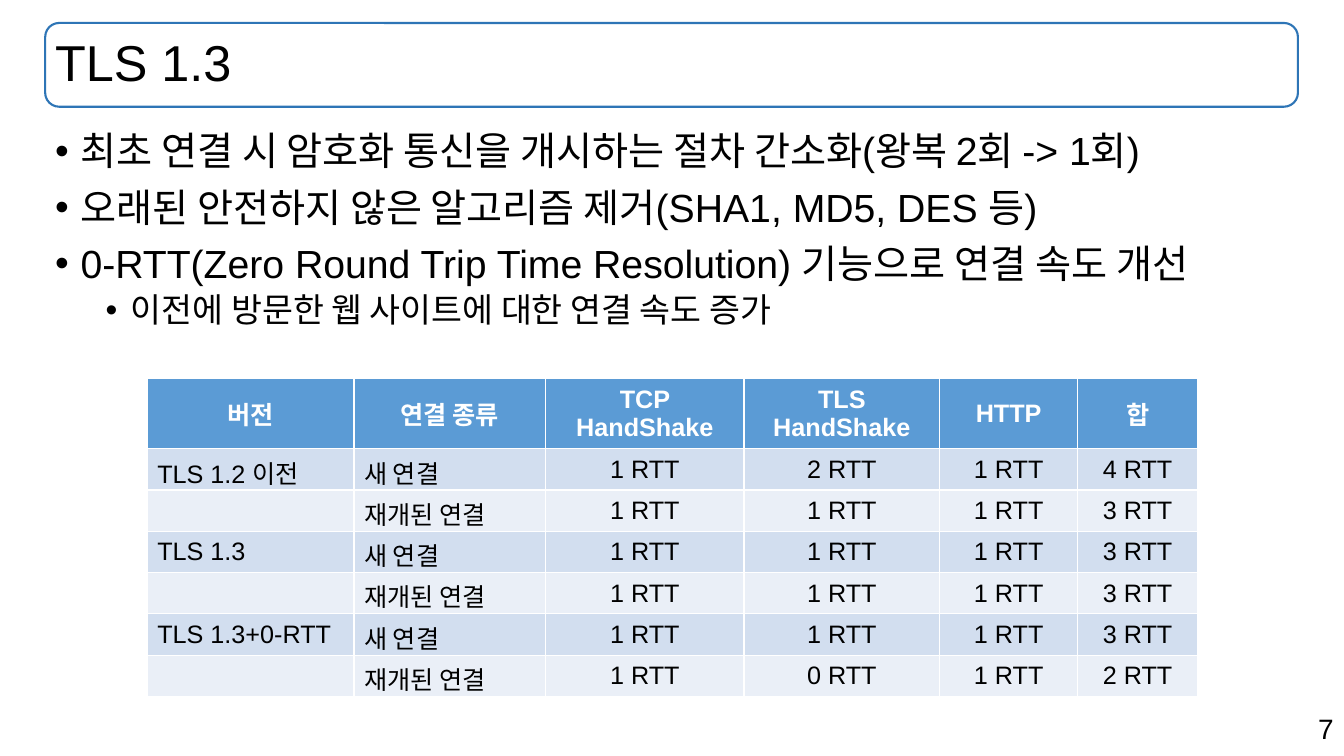
import pptx
import pptx.util
import pptx.dml.color
import pptx.enum.shapes
import pptx.enum.text
import pptx.oxml.ns
import lxml.etree

Cm = pptx.util.Cm
Pt = pptx.util.Pt
RGBColor = pptx.dml.color.RGBColor
PP_ALIGN = pptx.enum.text.PP_ALIGN
MSO_ANCHOR = pptx.enum.text.MSO_ANCHOR

BLACK = RGBColor(0x00, 0x00, 0x00)
WHITE = RGBColor(0xFF, 0xFF, 0xFF)
FRAME_BLUE = RGBColor(0x2E, 0x75, 0xB6)
HEADER_BLUE = RGBColor(0x5B, 0x9B, 0xD5)
BAND_COLORS = (RGBColor(0xD2, 0xDE, 0xEF), RGBColor(0xEA, 0xEF, 0xF7))

FONT_NAME = "Arial"
BULLETS = [
    (0, "최초 연결 시 암호화 통신을 개시하는 절차 간소화(왕복 2회 -> 1회)"),
    (0, "오래된 안전하지 않은 알고리즘 제거(SHA1, MD5, DES 등)"),
    (0, "0-RTT(Zero Round Trip Time Resolution) 기능으로 연결 속도 개선"),
    (1, "이전에 방문한 웹 사이트에 대한 연결 속도 증가"),
]
LEVEL_STYLES = [(28, 10, 0.64), (24, 5, 1.91)]
HANGING_INDENT = 0.64

HEADERS = ["버전", "연결 종류", "TCP HandShake", "TLS HandShake", "HTTP", "합"]
ROUND_TRIPS = [
    ("TLS 1.2 이전", "새 연결", 1, 2, 1, 4),
    ("", "재개된 연결", 1, 1, 1, 3),
    ("TLS 1.3", "새 연결", 1, 1, 1, 3),
    ("", "재개된 연결", 1, 1, 1, 3),
    ("TLS 1.3+0-RTT", "새 연결", 1, 1, 1, 3),
    ("", "재개된 연결", 1, 0, 1, 2),
]
COLUMN_WIDTHS = [5.21, 4.83, 5.0, 4.93, 3.48, 3.02]
ROW_HEIGHT = 1.04


def set_font(paragraph, size, color=BLACK, bold=False):
    paragraph.font.name = FONT_NAME
    paragraph.font.size = Pt(size)
    paragraph.font.color.rgb = color
    paragraph.font.bold = bold


def add_text_frame(slide, left, top, width, height):
    text_box = slide.shapes.add_textbox(Cm(left), Cm(top), Cm(width), Cm(height))
    text_box.text_frame.word_wrap = True
    return text_box.text_frame


def add_title(slide, left, top, width, height):
    frame = slide.shapes.add_shape(
        pptx.enum.shapes.MSO_SHAPE.ROUNDED_RECTANGLE,
        Cm(left), Cm(top), Cm(width), Cm(height))
    frame.shadow.inherit = False
    frame.fill.background()
    frame.line.color.rgb = FRAME_BLUE
    frame.line.width = Pt(1.5)

    text_frame = add_text_frame(slide, left, top, width, height)
    text_frame.vertical_anchor = MSO_ANCHOR.MIDDLE
    paragraph = text_frame.paragraphs[0]
    paragraph.text = "TLS 1.3"
    paragraph.line_spacing = 0.9
    set_font(paragraph, 36)


def add_bullet(paragraph, indent):
    properties = paragraph._p.get_or_add_pPr()
    properties.set("marL", str(Cm(indent)))
    properties.set("indent", str(-Cm(HANGING_INDENT)))
    bullet_font = lxml.etree.SubElement(properties, pptx.oxml.ns.qn("a:buFont"))
    bullet_font.set("typeface", FONT_NAME)
    bullet = lxml.etree.SubElement(properties, pptx.oxml.ns.qn("a:buChar"))
    bullet.set("char", "•")


def add_body(slide, left, top, width, height):
    text_frame = add_text_frame(slide, left, top, width, height)
    for index, (level, text) in enumerate(BULLETS):
        size, space_before, indent = LEVEL_STYLES[level]
        paragraph = text_frame.add_paragraph() if index else text_frame.paragraphs[0]
        paragraph.text = text
        paragraph.level = level
        add_bullet(paragraph, indent)
        paragraph.line_spacing = 0.9
        if index:
            paragraph.space_before = Pt(space_before)
        set_font(paragraph, size)


def fill_cell(cell, text, fill, color, bold, centered):
    cell.fill.solid()
    cell.fill.fore_color.rgb = fill
    cell.vertical_anchor = MSO_ANCHOR.MIDDLE
    paragraph = cell.text_frame.paragraphs[0]
    paragraph.text = text
    paragraph.alignment = PP_ALIGN.CENTER if centered else PP_ALIGN.LEFT
    set_font(paragraph, 18, color, bold)


def add_round_trip_table(slide, left, top):
    row_count = len(ROUND_TRIPS) + 1
    table = slide.shapes.add_table(
        row_count, len(HEADERS), Cm(left), Cm(top),
        Cm(sum(COLUMN_WIDTHS)), Cm(ROW_HEIGHT * row_count)).table
    for column, width in zip(table.columns, COLUMN_WIDTHS):
        column.width = Cm(width)
    for column_index, header in enumerate(HEADERS):
        fill_cell(table.cell(0, column_index), header, HEADER_BLUE, WHITE, True, True)
    for row_index, row in enumerate(ROUND_TRIPS):
        for column_index, value in enumerate(row):
            is_count = isinstance(value, int)
            text = f"{value} RTT" if is_count else value
            fill_cell(table.cell(row_index + 1, column_index), text,
                      BAND_COLORS[row_index % 2], BLACK, False, is_count)


def add_page_number(slide, left, top, width, height):
    paragraph = add_text_frame(slide, left, top, width, height).paragraphs[0]
    paragraph.text = "7"
    paragraph.alignment = PP_ALIGN.RIGHT
    set_font(paragraph, 20)


def main():
    presentation = pptx.Presentation()
    presentation.slide_width = Cm(33.87)
    presentation.slide_height = Cm(19.05)
    slide = presentation.slides.add_slide(presentation.slide_layouts[6])
    add_page_number(slide, 23.95, 17.81, 9.91, 1.12)
    add_title(slide, 1.14, 0.58, 31.57, 2.11)
    add_body(slide, 1.14, 3.2, 31.57, 14.91)
    add_round_trip_table(slide, 3.71, 9.53)
    presentation.save("out.pptx")


if __name__ == "__main__":
    main()
